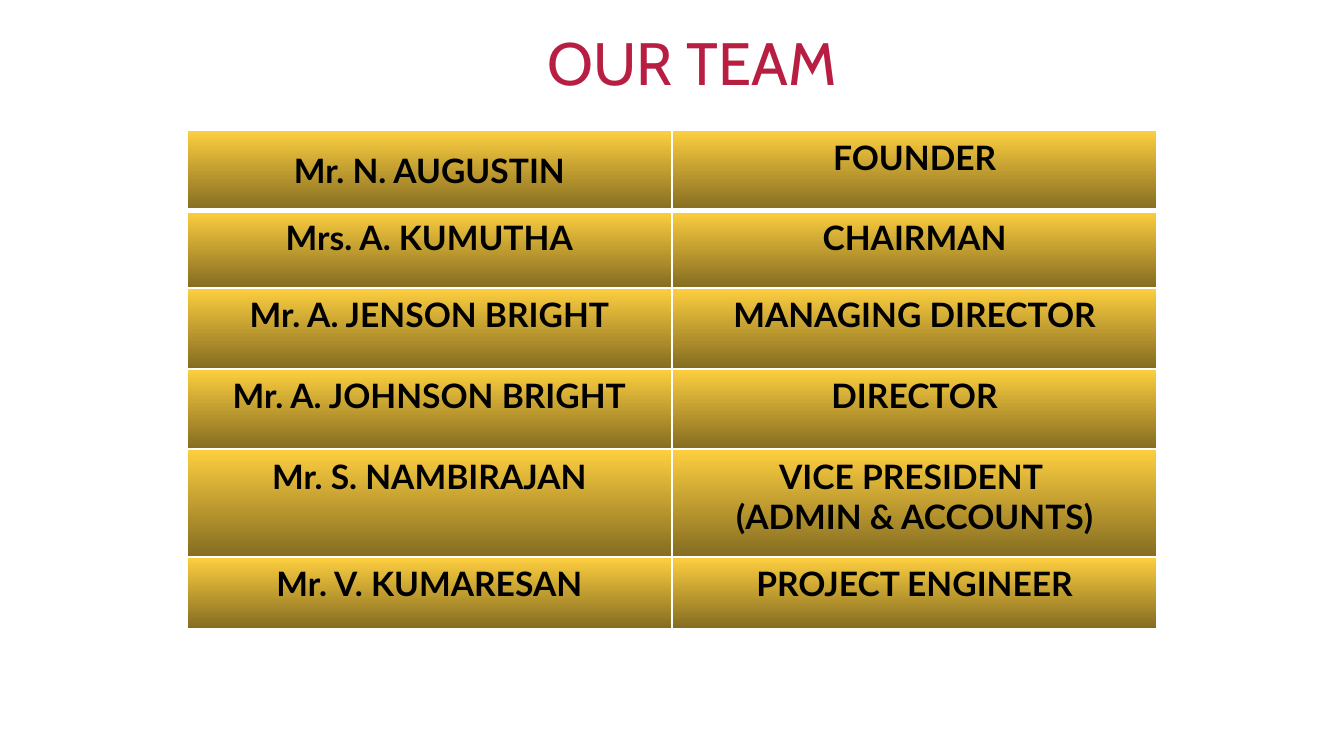
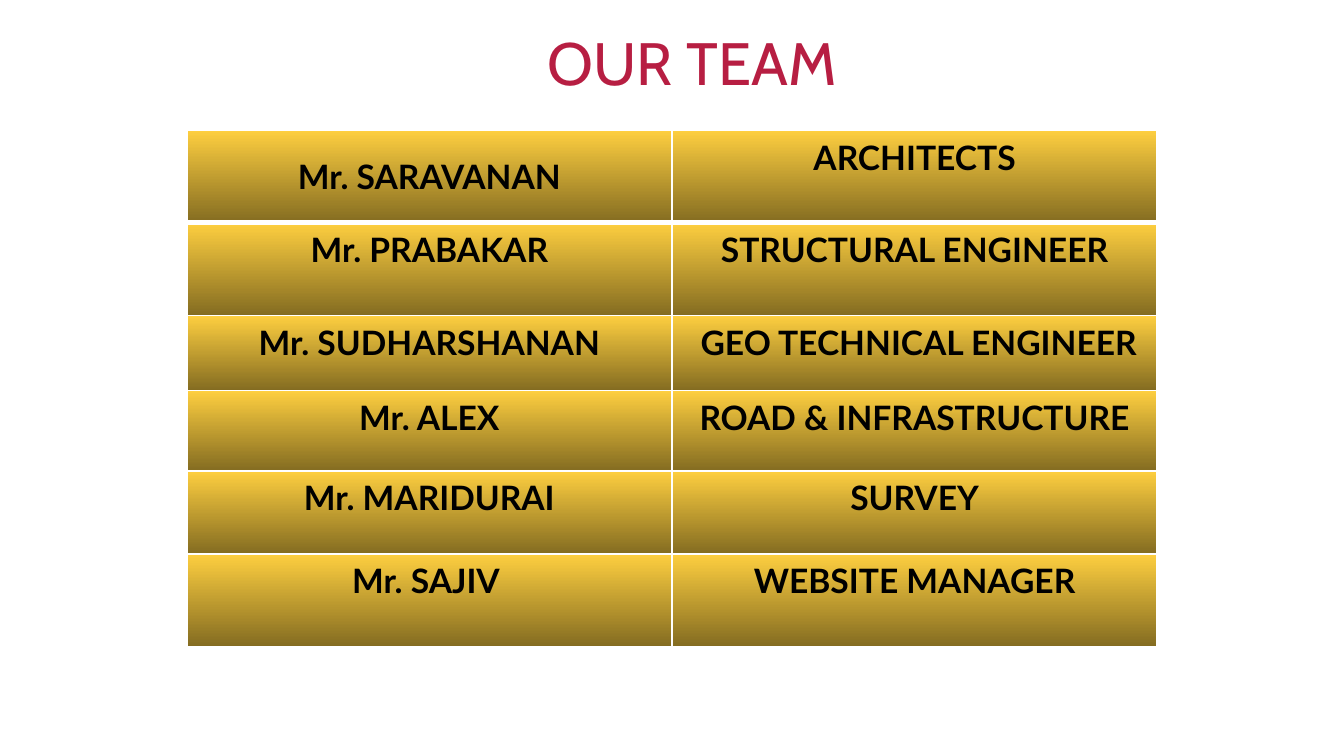
from lxml import etree
from pptx import Presentation
from pptx import util as u
from pptx.dml.color import RGBColor
from pptx.enum import text as t
from pptx.oxml import ns

RED = RGBColor(0xB7, 0x1E, 0x42)
GOLD = RGBColor(0xFE, 0xCF, 0x40)
BROWN = RGBColor(0x84, 0x6C, 0x21)
BLACK = RGBColor(0, 0, 0)
WHITE = RGBColor(255, 255, 255)

HEAD = {"name": "Cabin", "size": u.Pt(32), "bold": False}
BODY = {"name": "Lato", "size": u.Pt(18), "bold": True}
PLACE = {"left": u.Cm(-0.25), "top": u.Cm(0.51), "width": u.Cm(26.67), "height": u.Cm(2.92)}
FRAME = {"word_wrap": True, "auto_size": t.MSO_AUTO_SIZE.NONE, "vertical_anchor": t.MSO_ANCHOR.TOP}
PLAIN = {"first_row": False, "horz_banding": False}
WIDE = u.Cm(9.17)

TEAMS = [
    [
        (1.52, "Mr. N. AUGUSTIN", "FOUNDER"),
        (1.46, "Mrs. A. KUMUTHA", "CHAIRMAN"),
        (1.53, "Mr. A. JENSON BRIGHT", "MANAGING DIRECTOR"),
        (1.52, "Mr. A. JOHNSON BRIGHT", "DIRECTOR"),
        (2.04, "Mr. S. NAMBIRAJAN", "VICE PRESIDENT \n(ADMIN & ACCOUNTS)"),
        (1.35, "Mr. V. KUMARESAN", "PROJECT ENGINEER"),
    ],
    [
        (1.75, "Mr. SARAVANAN", "ARCHITECTS"),
        (1.75, "Mr. PRABAKAR", "STRUCTURAL ENGINEER"),
        (1.42, "Mr. SUDHARSHANAN", " GEO TECHNICAL ENGINEER"),
        (1.52, "Mr. ALEX", "ROAD & INFRASTRUCTURE"),
        (1.57, "Mr. MARIDURAI", "SURVEY"),
        (1.75, "Mr. SAJIV ", "WEBSITE MANAGER"),
    ],
]


def style(item, form):
    for key, val in form.items():
        setattr(item, key, val)


def edge(cell, sides):
    props = cell._tc.get_or_add_tcPr()
    for spot, (side, size) in enumerate(sides.items()):
        line = etree.Element(ns.qn("a:ln" + side), w=str(u.Pt(size)))
        fill = etree.SubElement(line, ns.qn("a:solidFill"))
        etree.SubElement(fill, ns.qn("a:srgbClr"), val=str(WHITE))
        props.insert(spot, line)


deck = Presentation()
style(deck, {"slide_width": u.Cm(25.4), "slide_height": u.Cm(14.29)})

for team in TEAMS:
    slide = deck.slides.add_slide(deck.slide_layouts[5])
    slide.background.fill.solid()
    slide.background.fill.fore_color.rgb = WHITE

    title = slide.shapes.title
    style(title, PLACE)
    style(title.text_frame, FRAME)
    title.text_frame.text = "OUR TEAM"
    para = title.text_frame.paragraphs[0]
    style(para, {"alignment": t.PP_ALIGN.CENTER, "line_spacing": 0.9})
    style(para.runs[0].font, HEAD)
    para.runs[0].font.color.rgb = RED

    tall = u.Cm(sum(row[0] for row in team))
    grid = slide.shapes.add_table(len(team), 2, u.Cm(3.53), u.Cm(2.46), 2 * WIDE, tall).table
    style(grid, PLAIN)
    for col in grid.columns:
        col.width = WIDE

    for r, (high, *words) in enumerate(team):
        grid.rows[r].height = u.Cm(high)
        for c, word in enumerate(words):
            cell = grid.cell(r, c)
            cell.text = word
            first = r == 0 and c == 0
            cell.vertical_anchor = t.MSO_ANCHOR.MIDDLE if first else t.MSO_ANCHOR.TOP
            cell.fill.gradient()
            cell.fill.gradient_angle = 270
            for stop, tint in zip(cell.fill.gradient_stops, (GOLD, BROWN)):
                stop.color.rgb = tint
            edge(cell, {"L": 1, "R": 1, "T": 3 if r == 1 else 1, "B": 3 if r == 0 else 1})
            for para in cell.text_frame.paragraphs:
                para.alignment = t.PP_ALIGN.CENTER
                style(para.runs[0].font, BODY)
                para.runs[0].font.color.rgb = BLACK

deck.save("out.pptx")
